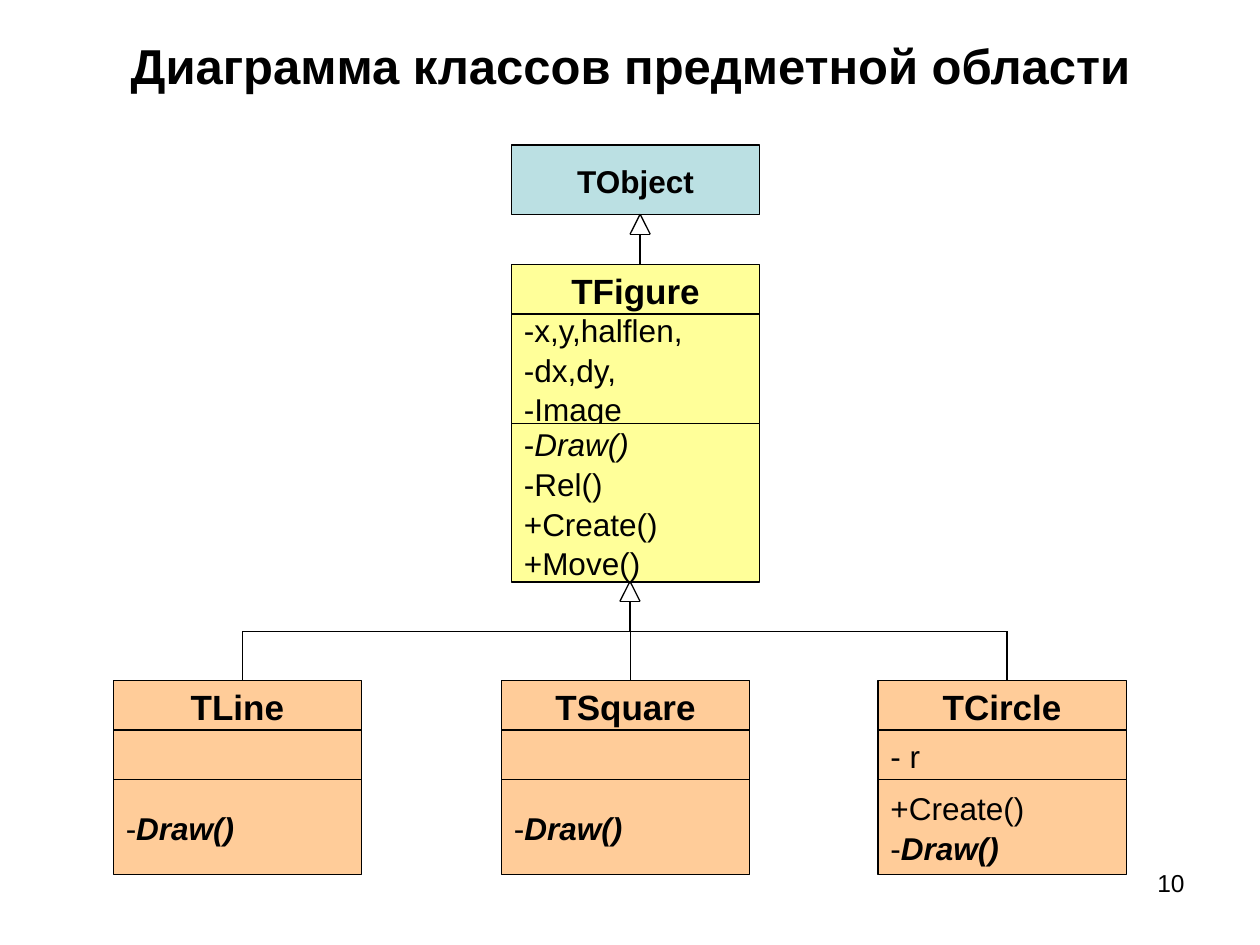
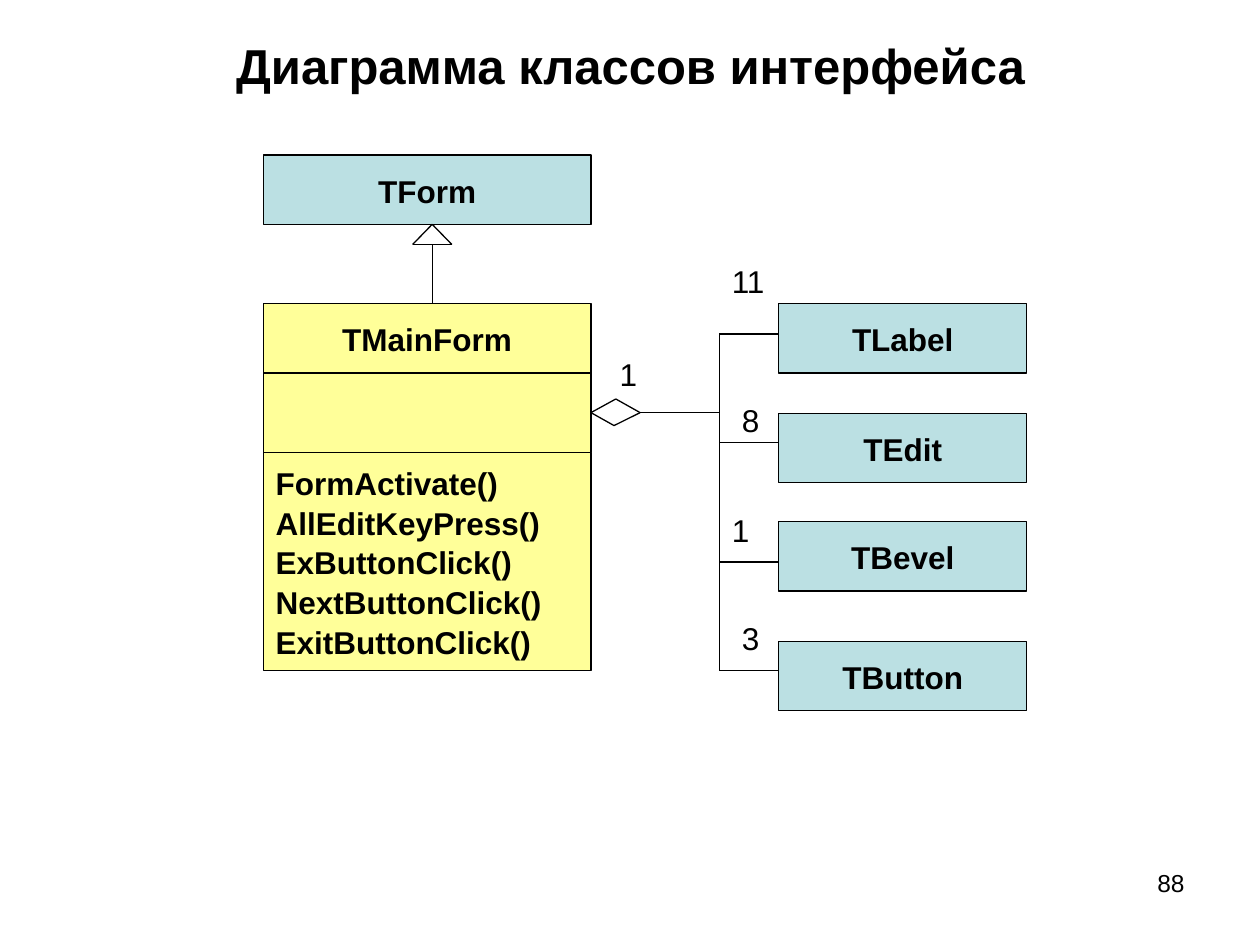
from itertools import accumulate

from lxml import etree
from pptx import Presentation
from pptx.dml.color import RGBColor
from pptx.enum.shapes import MSO_CONNECTOR as Connector, MSO_SHAPE as Shape
from pptx.enum.text import MSO_ANCHOR as Anchor, MSO_AUTO_SIZE as AutoSize, PP_ALIGN as Align
from pptx.oxml.ns import qn
from pptx.util import Pt

# Shared look
FONT = "Arial"
BLACK = "000000"
LIBRARY_BLUE = "BBE0E3"
OWN_YELLOW = "FFFF99"
CHILD_ORANGE = "FFCC99"
LINE_WIDTH = 0.75
NAME_HEIGHT = 39.6
CLASS_WIDTH = 141.8


def color(hex_text):
    return RGBColor.from_string(hex_text)


def write(frame, lines, size=18, align=Align.LEFT, spacing=1.05):
    """Each line is a list of (text, style); style may hold b and i."""
    for index, line in enumerate(lines):
        para = frame.add_paragraph() if index else frame.paragraphs[0]
        para.alignment = align
        para.line_spacing = spacing
        for text, style in line:
            span = para.add_run()
            span.text = text
            span.font.name = FONT
            span.font.size = Pt(size)
            span.font.bold = "b" in style
            span.font.italic = "i" in style
            span.font.color.rgb = color(BLACK)


def add_text(page, box, text, size=18, style="", align=Align.LEFT):
    label = page.shapes.add_textbox(*map(Pt, box))
    label.text_frame.word_wrap = True
    write(label.text_frame, [[(text, style)]], size, align)
    return label.text_frame


def add_cell(page, box, fill, lines=(), size=18, align=Align.LEFT):
    cell = page.shapes.add_shape(Shape.RECTANGLE, *map(Pt, box))
    cell.shadow.inherit = False
    cell.fill.solid()
    cell.fill.fore_color.rgb = color(fill)
    cell.line.color.rgb = color(BLACK)
    cell.line.width = Pt(LINE_WIDTH)
    cell.text_frame.word_wrap = False
    cell.text_frame.vertical_anchor = Anchor.MIDDLE
    write(cell.text_frame, lines, size, align)
    return cell


def add_line(page, start, end):
    line = page.shapes.add_connector(Connector.STRAIGHT, *map(Pt, start + end))
    line.line.color.rgb = color(BLACK)
    line.line.width = Pt(LINE_WIDTH)
    etree.SubElement(line._element.spPr, qn("a:effectLst"))
    return line


def add_class(page, left, top, width, fill, name, heights=(NAME_HEIGHT,), sections=(), size=18):
    """Stack the name cell and the member sections; return the cells."""
    contents = [[[(name, "b")]], *sections]
    tops = accumulate(heights, initial=top)
    cells = []
    for row, (lines, cell_top, height) in enumerate(zip(contents, tops, heights)):
        cells.append(add_cell(page, (left, cell_top, width, height), fill, lines,
                              18 if row else size, Align.LEFT if row else Align.CENTER))
    return cells


def add_inheritance(page, x, top, bottom, half_width):
    """Hollow triangle under the parent with a stem down to the child."""
    base = top + 11.5
    left, right = (x - half_width, base), (x + half_width, base)
    for start, end in (((x, top), left), ((x, top), right), (left, right), ((x, base), (x, bottom))):
        add_line(page, start, end)


def add_aggregation(page, owner, x, y, trunk_x):
    """Hollow diamond on the owner's right side with a stem to the trunk."""
    tip = (x + 28.1, y)
    for corner in ((x + 14.2, y - 7.8), (x + 13.2, y + 7.4)):
        add_line(page, (x, y), corner).begin_connect(owner, 3)
        add_line(page, corner, tip)
    add_line(page, tip, (trunk_x, y))


def start_page(deck, title, number):
    page = deck.slides.add_slide(deck.slide_layouts[6])
    heading = add_text(page, (19.4, 11.5, 681.8, 49), title, 28, "b", Align.CENTER)
    heading.vertical_anchor = Anchor.MIDDLE
    add_text(page, (516.2, 491.8, 167.8, 37.4), number, 14, align=Align.RIGHT)
    return page


def domain_page(deck):
    page = start_page(deck, "Диаграмма классов предметной области", "10")

    # Base classes
    left = 292.3
    add_class(page, left, 82.8, CLASS_WIDTH, LIBRARY_BLUE, "TObject")
    fields = [[(text, "")] for text in ("-x,y,halflen,", "-dx,dy,", "-Image")]
    methods = [[("-", ""), ("Draw()", "i")]]
    methods += [[(text, "")] for text in ("-Rel()", "+Create()", "+Move()")]
    add_class(page, left, 151.2, CLASS_WIDTH, OWN_YELLOW, "TFigure",
              (28.3, 62.4, 90.7), (fields, methods), 20)
    add_inheritance(page, 365.8, 122.4, 151.2, 5.8)

    # Child classes hang from one horizontal bus
    bus_y, child_top, stem_offset = 360.7, 388.8, 73.6
    add_inheritance(page, 360, 332.2, bus_y, 5.8)
    draw = [("-", ""), ("Draw()", "bi")]
    children = [
        (64.8, "TLine", [], [draw]),
        (286.6, "TSquare", [], [draw]),
        (501.8, "TCircle", [[("- r", "")]], [[("+Create()", "")], draw]),
    ]
    for child_left, name, *sections in children:
        add_class(page, child_left, child_top, CLASS_WIDTH, CHILD_ORANGE, name,
                  (28.4, 28.4, 54), sections, 20)
        stem_x = child_left + stem_offset
        add_line(page, (stem_x, bus_y), (stem_x, child_top))
    add_line(page, (children[0][0] + stem_offset, bus_y), (children[-1][0] + stem_offset, bus_y))


def interface_page(deck):
    page = start_page(deck, "Диаграмма классов интерфейса", "88")

    # Form classes
    left, top, width = 150.5, 173.5, 187.2
    add_class(page, left, 88.6, width, LIBRARY_BLUE, "TForm")
    handlers = ("FormActivate()", "AllEditKeyPress()", "ExButtonClick()",
                "NextButtonClick()", "ExitButtonClick()")
    heights = (NAME_HEIGHT, 45.4, 124.6)
    cells = add_class(page, left, top, width, OWN_YELLOW, "TMainForm", heights,
                      ([], [[(text, "b")] for text in handlers]))
    add_inheritance(page, 247, 128.2, top, 11.2)

    # Components: name, box top, branch height, count and its place
    trunk_x, part_left = 411.1, 445
    parts = [
        ("TLabel", top, 190.8, "11", 411.1, 145.4),
        ("TEdit", 236.2, 252.7, "8", 416.9, 224.6),
        ("TBevel", 298.1, 321.1, "1", 411.1, 287.3),
        ("TButton", 366.5, 383, "3", 416.9, 349.2),
    ]
    counts = [("1", 347, 198)]
    for name, part_top, branch_y, *count in parts:
        add_class(page, part_left, part_top, CLASS_WIDTH, LIBRARY_BLUE, name)
        add_line(page, (trunk_x, branch_y), (part_left, branch_y))
        counts.append(count)
    add_line(page, (trunk_x, parts[0][2]), (trunk_x, parts[-1][2]))
    add_aggregation(page, cells[1], left + width, top + heights[0] + heights[1] / 2, trunk_x)

    # Multiplicities
    for text, count_left, count_top in counts:
        frame = add_text(page, (count_left, count_top, 14.4 + 10 * len(text), 28.8), text)
        frame.word_wrap = False
        frame.auto_size = AutoSize.SHAPE_TO_FIT_TEXT


def main():
    deck = Presentation()
    deck.slide_width, deck.slide_height = Pt(720), Pt(540)
    domain_page(deck)
    interface_page(deck)
    deck.save("out.pptx")


if __name__ == "__main__":
    main()
